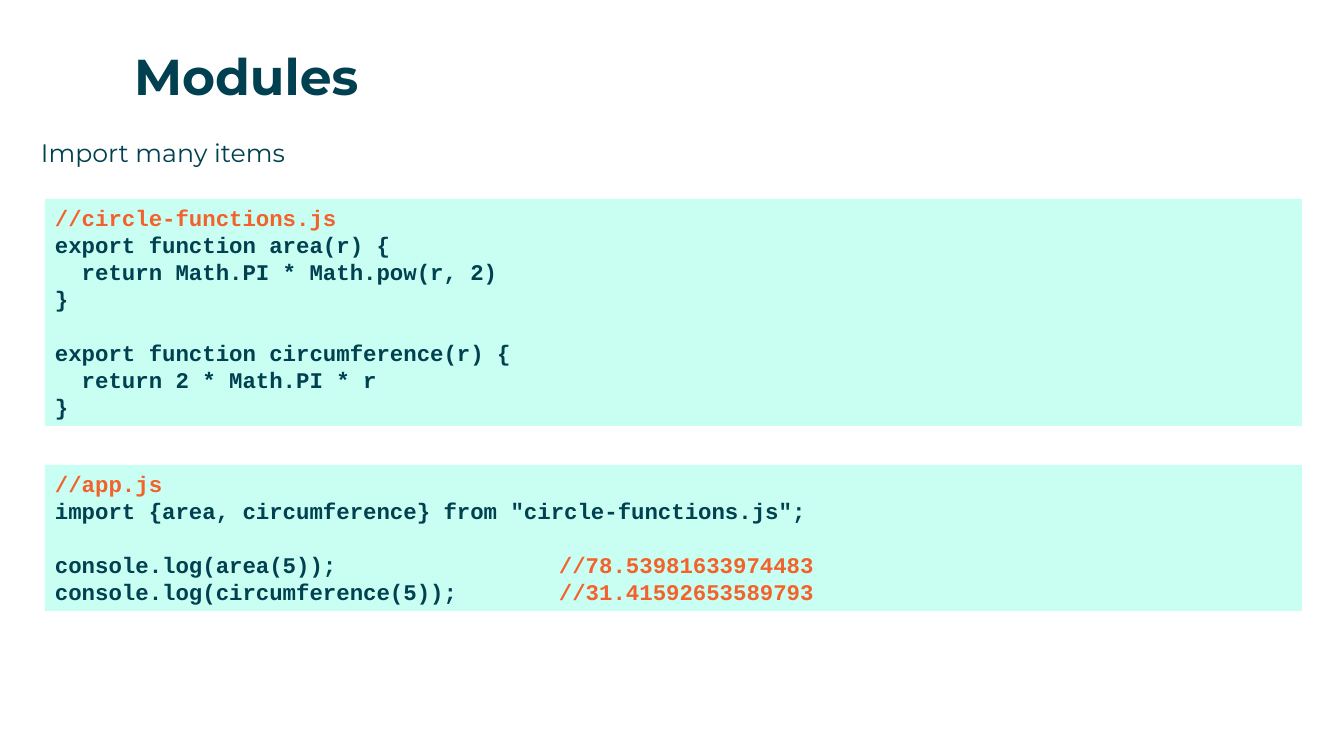
from dataclasses import dataclass

from lxml import etree
from pptx import Presentation
from pptx import util as u
from pptx.dml.color import RGBColor
from pptx.enum import shapes, text
from pptx.oxml import ns

PX = 12192000 / 1344


def px(length):
    return u.Emu(round(length * PX))


@dataclass(frozen=True)
class Theme:
    ink: str = "004050"
    comment: str = "F3612C"
    panel: str = "C8FFF2"
    prose_font: str = "Montserrat"
    code_font: str = "Courier New"
    title_size: int = 36
    body_size: int = 18
    code_size: int = 16
    code_line: float = 19.25


class SlideBuilder:
    def __init__(self, presentation, theme):
        self.theme = theme
        self.slide = presentation.slides.add_slide(presentation.slide_layouts[5])

    def set_attributes(self, target, values):
        for name, value in values.items():
            setattr(target, name, value)

    def format_font(self, font, color, **values):
        self.set_attributes(font, values)
        font.color.rgb = RGBColor.from_string(color)

    def place(self, shape, left, top, width, height):
        bounds = {"left": left, "top": top, "width": width, "height": height}
        self.set_attributes(shape, {name: px(value) for name, value in bounds.items()})

    def format_frame(self, frame, inset_x=0, inset_y=0):
        self.set_attributes(frame, {
            "word_wrap": True,
            "auto_size": text.MSO_AUTO_SIZE.NONE,
            "vertical_anchor": text.MSO_ANCHOR.TOP,
            "margin_left": px(inset_x), "margin_right": px(inset_x),
            "margin_top": px(inset_y), "margin_bottom": px(inset_y),
        })

    def prose(self, shape, words, bounds, size, bold):
        self.place(shape, *bounds)
        frame = shape.text_frame
        self.format_frame(frame)
        frame.text = words
        paragraph = frame.paragraphs[0]
        paragraph.alignment = text.PP_ALIGN.LEFT
        self.format_font(paragraph.runs[0].font, self.theme.ink,
                         name=self.theme.prose_font, size=u.Pt(size), bold=bold)

    def title(self, words, *bounds):
        self.prose(self.slide.shapes.title, words, bounds, self.theme.title_size, True)

    def label(self, words, *bounds):
        box = self.slide.shapes.add_textbox(0, 0, 0, 0)
        self.prose(box, words, bounds, self.theme.body_size, False)

    def add_tab_stop(self, paragraph, position):
        properties = paragraph._p.get_or_add_pPr()
        stops = etree.SubElement(properties, ns.qn("a:tabLst"))
        etree.SubElement(stops, ns.qn("a:tab"), pos=str(px(position)), algn="l")

    def code_line(self, paragraph, line, after_gap):
        theme = self.theme
        paragraph.alignment = text.PP_ALIGN.LEFT
        if after_gap:
            paragraph.space_before = u.Pt(theme.code_line)
        paragraph.line_spacing = u.Pt(theme.code_line)
        code, slashes, comment = line.partition("//")
        if code and comment:
            self.add_tab_stop(paragraph, 504)
        for words, color in ((code, theme.ink), (slashes + comment, theme.comment)):
            if words:
                run = paragraph.add_run()
                run.text = words
                self.format_font(run.font, color, name=theme.code_font,
                                 size=u.Pt(theme.code_size), bold=True)

    def code_panel(self, blocks, *bounds):
        panel = self.slide.shapes.add_shape(shapes.MSO_SHAPE.RECTANGLE, 0, 0, 0, 0)
        self.place(panel, *bounds)
        panel.shadow.inherit = False
        panel.fill.solid()
        panel.fill.fore_color.rgb = RGBColor.from_string(self.theme.panel)
        panel.line.fill.background()
        frame = panel.text_frame
        self.format_frame(frame, 10, 5)
        paragraph = frame.paragraphs[0]
        for block_index, block in enumerate(blocks):
            for line_index, line in enumerate(block):
                if block_index or line_index:
                    paragraph = frame.add_paragraph()
                self.code_line(paragraph, line, block_index > 0 and line_index == 0)


CIRCLE_FUNCTIONS = [
    [
        "//circle-functions.js",
        "export function area(r) {",
        "  return Math.PI * Math.pow(r, 2)",
        "}",
    ],
    [
        "export function circumference(r) {",
        "  return 2 * Math.PI * r",
        "}",
    ],
]

APP = [
    [
        "//app.js",
        'import {area, circumference} from "circle-functions.js";',
    ],
    [
        "console.log(area(5));\t//78.53981633974483",
        "console.log(circumference(5));\t//31.41592653589793",
    ],
]


def main():
    presentation = Presentation()
    presentation.slide_width = px(1344)
    presentation.slide_height = px(756)
    builder = SlideBuilder(presentation, Theme())
    builder.title("Modules", 134, 45, 1168, 57)
    builder.label("Import many items", 41, 137, 1260, 578)
    builder.code_panel(CIRCLE_FUNCTIONS, 45, 199, 1257, 227)
    builder.code_panel(APP, 45, 465, 1257, 146)
    presentation.save("out.pptx")


if __name__ == "__main__":
    main()
